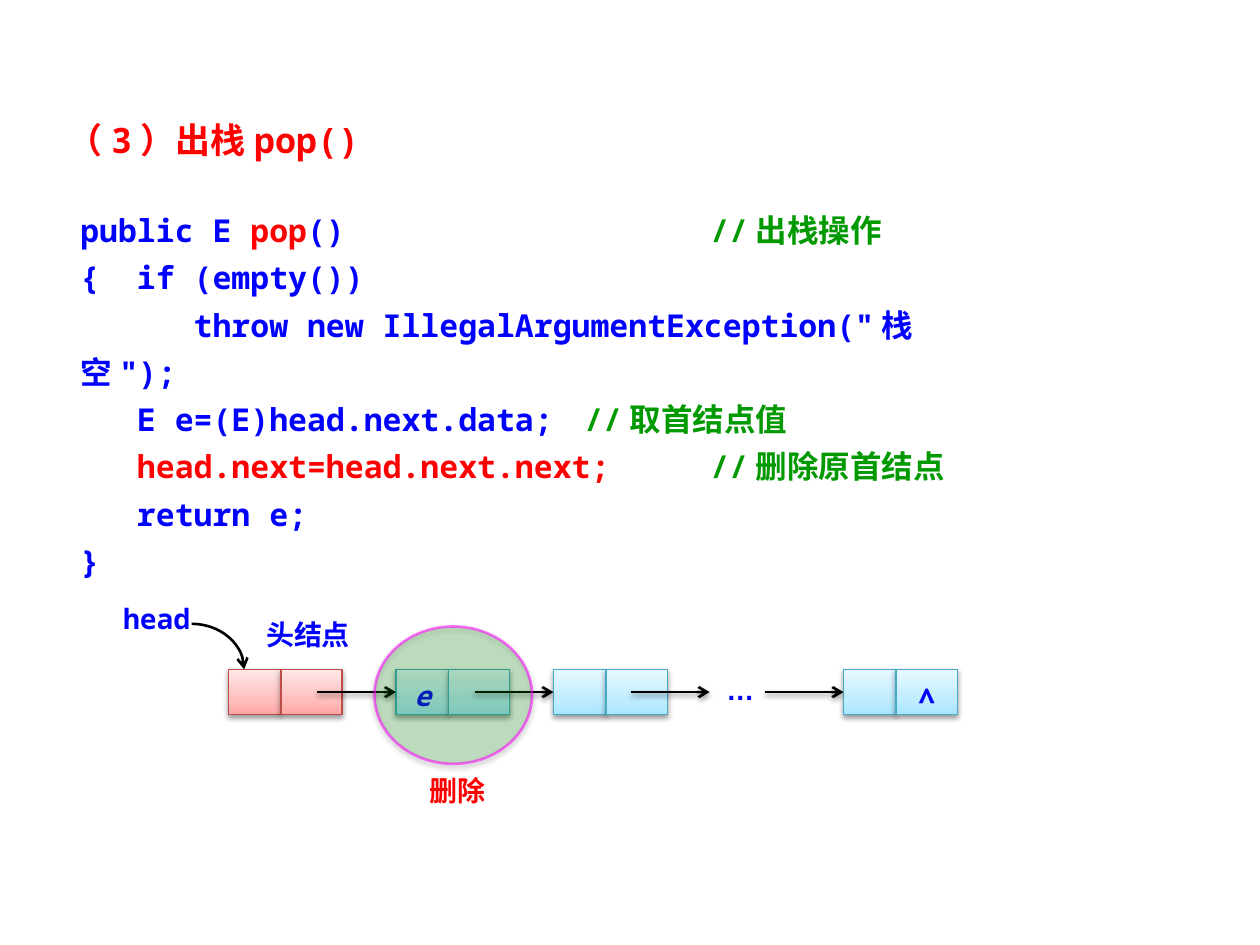
from dataclasses import dataclass

from lxml import etree
from pptx import Presentation
from pptx.dml.color import RGBColor
from pptx.enum.shapes import MSO_CONNECTOR, MSO_SHAPE
from pptx.enum.text import MSO_ANCHOR, MSO_AUTO_SIZE, PP_ALIGN
from pptx.oxml import parse_xml
from pptx.oxml.ns import nsdecls, qn
from pptx.util import Pt

LEFT, CENTER = PP_ALIGN.LEFT, PP_ALIGN.CENTER
TOP, MIDDLE = MSO_ANCHOR.TOP, MSO_ANCHOR.MIDDLE
RECTANGLE, OVAL, ARC = MSO_SHAPE.RECTANGLE, MSO_SHAPE.OVAL, MSO_SHAPE.ARC
STRAIGHT = MSO_CONNECTOR.STRAIGHT
NO_FIT = MSO_AUTO_SIZE.NONE


@dataclass
class Theme:
    blue: str = "0000FF"
    red: str = "FF0000"
    green: str = "009900"
    magenta: str = "FF00FF"
    black: str = "000000"
    white: str = "FFFFFF"
    pink_line: str = "BF4C48"
    cyan_line: str = "46AAC5"
    pink_stops: tuple = ((0, "FFA6A5"), (35, "FFC0BF"), (100, "FFE7E7"))
    cyan_stops: tuple = ((0, "A7E6FF"), (35, "C1EDFF"), (100, "E7F8FF"))
    mono: str = "Noto Sans Mono"
    chinese: str = "Noto Sans CJK SC"
    sans: str = "Arial"
    title_size: int = 20
    code_size: int = 18
    label_size: int = 16


theme = Theme()
SHADOW = (
    f'<a:effectLst {nsdecls("a")}><a:outerShdw blurRad="39400" dist="20300" dir="5400000" '
    'rotWithShape="0"><a:srgbClr val="000000"><a:alpha val="38000"/></a:srgbClr>'
    "</a:outerShdw></a:effectLst>"
)


def style_span(span, size, color, font=theme.mono):
    span.font.name = font
    span.font.size = Pt(size)
    span.font.bold = True
    span.font.color.rgb = RGBColor.from_string(color)
    east_asian = etree.Element(qn("a:ea"), typeface=theme.chinese)
    span.font._element.find(qn("a:latin")).addnext(east_asian)


def add_label(text, left, top, width, height, color=theme.blue, font=theme.mono):
    box = page.shapes.add_textbox(Pt(left), Pt(top), Pt(width), Pt(height))
    box.fill.solid()
    box.fill.fore_color.rgb = RGBColor.from_string(theme.white)
    frame = box.text_frame
    frame.word_wrap = True
    frame.margin_left = frame.margin_right = frame.margin_top = frame.margin_bottom = 0
    frame.text = text
    para = frame.paragraphs[0]
    para.alignment = CENTER
    style_span(para.runs[0], theme.label_size, color, font)
    return box


deck = Presentation()
deck.slide_width, deck.slide_height = Pt(720), Pt(540)
page = deck.slides.add_slide(deck.slide_layouts[5])

title = page.shapes.title
title.left, title.top, title.width, title.height = Pt(31.5), Pt(64), Pt(191.5), Pt(32)
frame = title.text_frame
frame.text = "（3）出栈pop()"
frame.auto_size = NO_FIT
frame.vertical_anchor = TOP
frame.paragraphs[0].alignment = LEFT
style_span(frame.paragraphs[0].runs[0], theme.title_size, theme.red)

code_lines = [
    [("public E ", theme.blue), ("pop", theme.red), ("()\t\t\t", theme.blue),
     ("//出栈操作", theme.green)],
    [("{  if (empty())", theme.blue)],
    [("      throw new IllegalArgumentException(\"栈空\");", theme.blue)],
    [("   E e=(E)head.next.data;\t", theme.blue), ("//取首结点值", theme.green)],
    [("   ", theme.blue), ("head.next=head.next.next;\t", theme.red),
     ("//删除原首结点", theme.green)],
    [("   return e;", theme.blue)],
    [("}", theme.blue)],
]
code = page.shapes.add_textbox(Pt(31.5), Pt(106.5), Pt(551.5), Pt(206))
code.fill.solid()
code.fill.fore_color.rgb = RGBColor.from_string(theme.white)
frame = code.text_frame
frame.word_wrap = True
frame.margin_left, frame.margin_right = Pt(14.4), Pt(7.2)
frame.margin_top = frame.margin_bottom = Pt(8.64)
for index, parts in enumerate(code_lines):
    para = frame.paragraphs[0] if index == 0 else frame.add_paragraph()
    tabs = etree.SubElement(para._p.get_or_add_pPr(), qn("a:tabLst"))
    for inch in range(1, 6):
        etree.SubElement(tabs, qn("a:tab"), pos=str(Pt(72 * inch)), algn="l")
    para.line_spacing = Pt(27)
    for text, color in parts:
        span = para.add_run()
        span.text = text
        style_span(span, theme.code_size, color)

dots = add_label("…", 405.5, 384.5, 35, 26, font=theme.sans)
add_label("head", 67.5, 343.5, 44, 26.5)
add_label("头结点", 146, 353, 60, 26)

node_top, node_height = 382.5, 26
data_width, link_width = 30, 35
nodes = [
    (130.5, theme.pink_stops, theme.pink_line, "", ""),
    (226.25, theme.cyan_stops, theme.cyan_line, "e", ""),
    (316.25, theme.cyan_stops, theme.cyan_line, "", ""),
    (482, theme.cyan_stops, theme.cyan_line, "", "∧"),
]
data_cells = []
for left, stops, outline, data, link in nodes:
    for offset, width, text in ((0, data_width, data), (data_width, link_width, link)):
        cell = page.shapes.add_shape(
            RECTANGLE, Pt(left + offset), Pt(node_top), Pt(width), Pt(node_height))
        cell.fill.gradient()
        cell.fill.gradient_angle = 90
        stop_list = cell._element.spPr.find(qn("a:gradFill")).find(qn("a:gsLst"))
        for old_stop in list(stop_list):
            stop_list.remove(old_stop)
        for position, color in stops:
            stop = etree.SubElement(stop_list, qn("a:gs"), pos=str(position * 1000))
            etree.SubElement(stop, qn("a:srgbClr"), val=color)
        cell.line.color.rgb = RGBColor.from_string(outline)
        cell.line.width = Pt(0.75)
        cell._element.spPr.append(parse_xml(SHADOW))
        if offset == 0:
            data_cells.append(cell)
        if text:
            frame = cell.text_frame
            frame.margin_left = frame.margin_right = frame.margin_top = frame.margin_bottom = 0
            frame.vertical_anchor = MIDDLE
            frame.text = text
            para = frame.paragraphs[0]
            para.alignment = CENTER
            para.line_spacing = Pt(23)
            style_span(para.runs[0], theme.label_size, theme.blue)
            para.runs[0].font.italic = text == "e"

arrow_length = 45
arrow_y = node_top + node_height / 2
pointers = []
for target in data_cells[1:] + [dots]:
    pointer = page.shapes.add_connector(
        STRAIGHT, target.left - Pt(arrow_length), Pt(arrow_y), target.left, Pt(arrow_y))
    if target is not dots:
        pointer.end_connect(target, 1)
    pointers.append(pointer)

head_arc = page.shapes.add_shape(ARC, Pt(79.5), Pt(356.5), Pt(60), Pt(52))
head_arc.fill.background()
head_arc.shadow.inherit = False

for arrow in pointers + [head_arc]:
    arrow.line.color.rgb = RGBColor.from_string(theme.black)
    arrow.line.width = Pt(1.5)
    etree.SubElement(arrow.line._get_or_add_ln(), qn("a:tailEnd"), type="arrow")
    if arrow is not head_arc:
        arrow._element.spPr.append(parse_xml(SHADOW))

highlight = page.shapes.add_shape(OVAL, Pt(214), Pt(358), Pt(90), Pt(78.5))
highlight.fill.solid()
highlight.fill.fore_color.rgb = RGBColor.from_string(theme.green)
highlight.line.color.rgb = RGBColor.from_string(theme.magenta)
highlight.line.width = Pt(1.5)
properties = highlight._element.spPr
for fill_parent, alpha in ((properties, 20), (properties.find(qn("a:ln")), 54)):
    color = fill_parent.find(qn("a:solidFill")).find(qn("a:srgbClr"))
    etree.SubElement(color, qn("a:alpha"), val=str(alpha * 1000))
properties.append(parse_xml(SHADOW))

add_label("删除", 236, 442, 50.5, 23, theme.red, theme.chinese)

deck.save("out.pptx")
